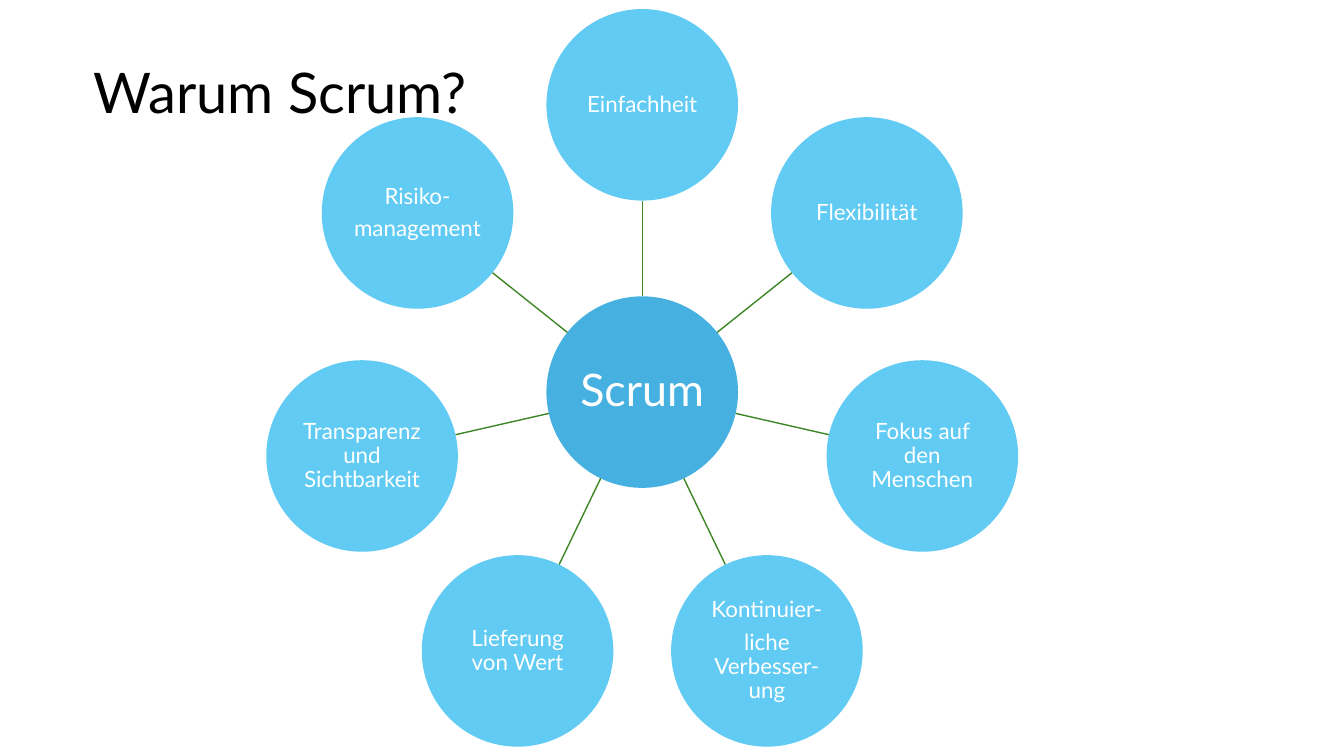
import math

from lxml import etree
from pptx import Presentation
from pptx.dml.color import RGBColor
from pptx.enum.shapes import MSO_CONNECTOR, MSO_SHAPE
from pptx.enum.text import MSO_ANCHOR, PP_ALIGN
from pptx.oxml.ns import qn
from pptx.util import Inches, Pt

STRAIGHT = MSO_CONNECTOR.STRAIGHT
OVAL = MSO_SHAPE.OVAL
MIDDLE = MSO_ANCHOR.MIDDLE
CENTER = PP_ALIGN.CENTER

BLACK = RGBColor(0x00, 0x00, 0x00)
WHITE = RGBColor(0xFF, 0xFF, 0xFF)
HUB_BLUE = RGBColor(0x46, 0xB1, 0xE1)
NODE_BLUE = RGBColor(0x61, 0xCB, 0xF4)
GREEN = RGBColor(0x3E, 0x86, 0x25)

FONT = "Lato"
HUB_X, HUB_Y = 6.37, 3.89
ORBIT = 2.85
RADIUS = 0.95

REASONS = [
    "Einfachheit",
    "Flexibilität",
    "Fokus auf den Menschen",
    "Kontinuier-\nliche Verbesser-ung",
    "Lieferung von Wert",
    "Transparenz und Sichtbarkeit",
    "Risiko-\nmanagement",
]


def write(frame, text, size, color, align=None, after=0):
    frame.word_wrap = True
    frame.vertical_anchor = MIDDLE
    frame.text = text
    for para in frame.paragraphs:
        para.alignment = align
        para.line_spacing = 0.9
        para.space_after = Pt(after)
        for run in para.runs:
            run.font.name = FONT
            run.font.size = Pt(size)
            run.font.color.rgb = color


def add_title(slide, text):
    box = slide.shapes.add_textbox(
        Inches(0.83), Inches(0.39), Inches(11.58), Inches(1.12))
    write(box.text_frame, text, 40, BLACK)


def polar(angle, dist):
    """Point at a clockwise angle from the top, measured from the hub."""
    return HUB_X + dist * math.sin(angle), HUB_Y - dist * math.cos(angle)


def add_circle(slide, x, y, text, size, fill, inset):
    circle = slide.shapes.add_shape(
        OVAL, Inches(x - RADIUS), Inches(y - RADIUS),
        Inches(2 * RADIUS), Inches(2 * RADIUS))
    circle.shadow.inherit = False
    circle.fill.solid()
    circle.fill.fore_color.rgb = fill
    circle.line.fill.background()
    frame = circle.text_frame
    frame.margin_left = frame.margin_right = Inches(inset)
    frame.margin_top = frame.margin_bottom = Inches(inset)
    write(frame, text, size, WHITE, CENTER, after=0.35 * size)


def add_spoke(slide, angle):
    ends = polar(angle, RADIUS) + polar(angle, ORBIT - RADIUS)
    spoke = slide.shapes.add_connector(STRAIGHT, *map(Inches, ends))
    spoke.line.color.rgb = GREEN
    spoke.line.width = Pt(1)
    etree.SubElement(spoke._element.spPr, qn("a:effectLst"))


def main():
    prs = Presentation()
    prs.slide_width = Inches(13.33)
    prs.slide_height = Inches(7.5)
    slide = prs.slides.add_slide(prs.slide_layouts[6])

    add_title(slide, "Warum Scrum?")
    add_circle(slide, HUB_X, HUB_Y, "Scrum", 32, HUB_BLUE, 0.02)
    for i, reason in enumerate(REASONS):
        angle = i * math.tau / len(REASONS)
        add_spoke(slide, angle)
        add_circle(slide, *polar(angle, ORBIT), reason, 16, NODE_BLUE, 0.01)

    prs.save("out.pptx")


if __name__ == "__main__":
    main()
